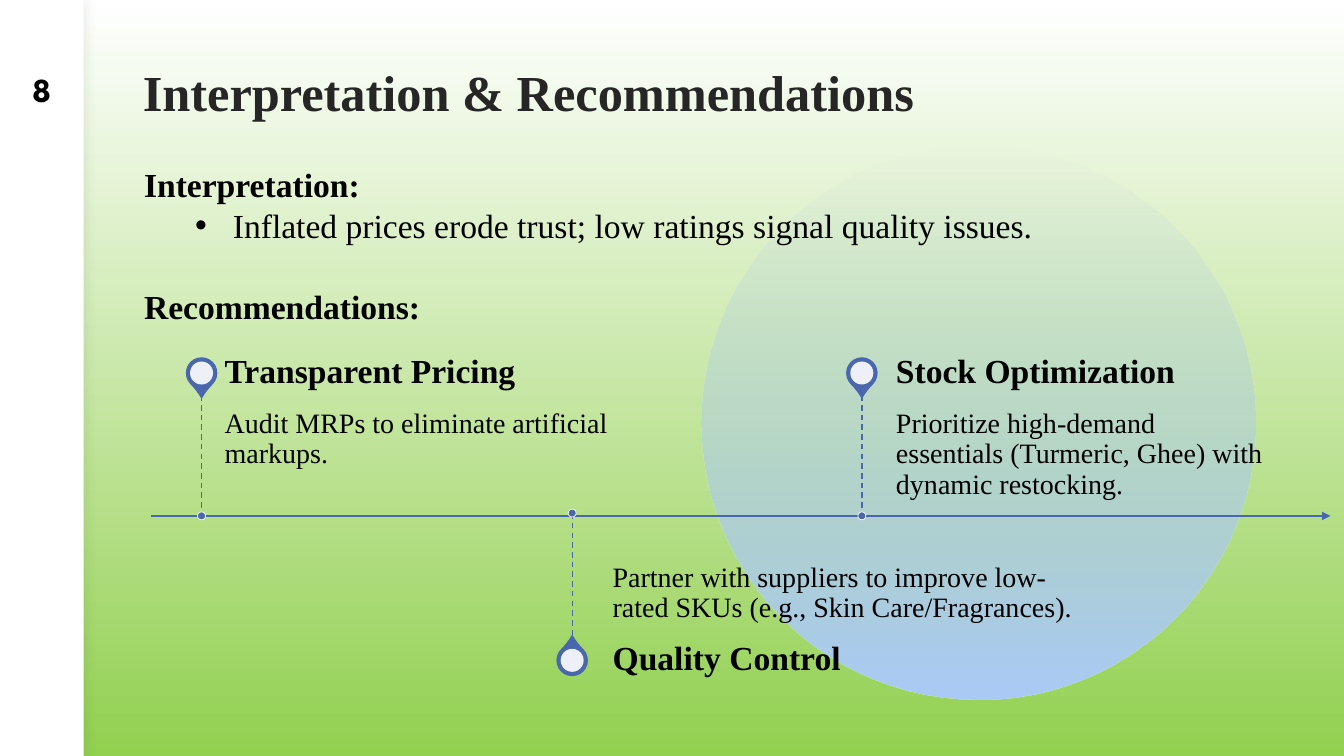
import lxml.etree
import pptx
import pptx.dml.color
import pptx.enum.dml
import pptx.enum.shapes
import pptx.enum.text
import pptx.oxml.ns
import pptx.util

Cm = pptx.util.Cm
Pt = pptx.util.Pt
SHAPE = pptx.enum.shapes.MSO_SHAPE
ANCHOR = pptx.enum.text.MSO_ANCHOR
ALIGN = pptx.enum.text.PP_ALIGN

SERIF = "Times New Roman"
BLUE = "4A66AC"
WHITE = "FFFFFF"
BLACK = "000000"
AXIS_Y = 13
PIN_SIZE = 0.76
HOLE_SIZE = 0.58
DOT_SIZE = 0.2
HEADING_HEIGHT = 1.07
DETAIL_HEIGHT = 3.07

RECOMMENDATIONS = [
    ("Transparent Pricing", "Audit MRPs to eliminate artificial markups.",
     5.08, 5.66, 12.8, True),
    ("Quality Control",
     "Partner with suppliers to improve low-rated SKUs (e.g., Skin Care/Fragrances).",
     14.42, 15.44, 12.34, False),
    ("Stock Optimization",
     "Prioritize high-demand essentials (Turmeric, Ghee) with dynamic restocking.",
     21.72, 22.58, 9.7, True),
]


def color(value):
    return pptx.dml.color.RGBColor.from_string(value)


def add_xml(parent, tag, **attributes):
    return lxml.etree.SubElement(parent, pptx.oxml.ns.qn(tag), attributes)


def set_alpha(fill_xml, percent):
    rgb = next(fill_xml.iter(pptx.oxml.ns.qn("a:srgbClr")))
    add_xml(rgb, "a:alpha", val=str(percent * 1000))


def fill_downward(fill, top, bottom):
    fill.gradient()
    fill.gradient_angle = 270
    for stop, value in zip(fill.gradient_stops, (top, bottom)):
        stop.color.rgb = color(value)


def add_solid(slide, kind, left, top, width, height, fill=WHITE, line=None, line_width=1):
    solid = slide.shapes.add_shape(kind, Cm(left), Cm(top), Cm(width), Cm(height))
    solid.shadow.inherit = False
    solid.fill.solid()
    solid.fill.fore_color.rgb = color(fill)
    if line:
        solid.line.color.rgb = color(line)
        solid.line.width = Pt(line_width)
    else:
        solid.line.fill.background()
    return solid


def add_centered(slide, kind, x, y, size, **style):
    return add_solid(slide, kind, x - size / 2, y - size / 2, size, size, **style)


def add_line(slide, start, end, width):
    line = slide.shapes.add_connector(
        pptx.enum.shapes.MSO_CONNECTOR.STRAIGHT, *(Cm(v) for v in (*start, *end)))
    line.line.color.rgb = color(BLUE)
    line.line.width = Pt(width)
    add_xml(line._element.spPr, "a:effectLst")
    return line


def format_runs(paragraph, size, bold, font=SERIF, fill=BLACK):
    for run in paragraph.runs:
        run.font.name = font
        run.font.size = Pt(size)
        run.font.bold = bold
        run.font.color.rgb = color(fill)


def add_text(slide, text, box, size, bold=False, font=SERIF, fill=BLACK,
             anchor=ANCHOR.TOP, align=ALIGN.LEFT, spacing=None,
             insets=(0.25, 0.13, 0.25, 0.13)):
    frame = slide.shapes.add_textbox(*(Cm(v) for v in box)).text_frame
    frame.word_wrap = True
    frame.vertical_anchor = anchor
    (frame.margin_left, frame.margin_top,
     frame.margin_right, frame.margin_bottom) = (Cm(v) for v in insets)
    frame.text = text
    for paragraph in frame.paragraphs:
        paragraph.alignment = align
        paragraph.line_spacing = spacing
        format_runs(paragraph, size, bold, font, fill)
    return frame


def add_backdrop(slide):
    fill_downward(slide.background.fill, WHITE, "92D050")
    circle = add_solid(slide, SHAPE.OVAL, 17.68, 3.66, 13.97, 13.97)
    fill_downward(circle.fill, "B4CCE7", "ACCBF9")
    set_alpha(circle._element.spPr, 0)
    sidebar = add_solid(slide, SHAPE.RECTANGLE, 0, 0, 2.11, 19.05)
    effects = sidebar._element.spPr.find(pptx.oxml.ns.qn("a:effectLst"))
    shadow = add_xml(effects, "a:outerShdw", blurRad=str(Pt(10)), dist="0", dir="0")
    add_xml(shadow, "a:srgbClr", val=BLACK)
    set_alpha(shadow, 10)


def add_axis(slide):
    axis = add_line(slide, (3.81, AXIS_Y), (33.53, AXIS_Y), 1.5)
    add_xml(axis.line._get_or_add_ln(), "a:tailEnd", type="triangle")


def add_recommendation(slide, heading, detail, pin_x, text_x, width, above):
    if above:
        pin_y, stem_top, stem_bottom, dot_y = 9.4, 9.96, AXIS_Y, AXIS_Y
        heading_y, detail_y = 8.86, 9.96
        anchor, insets = ANCHOR.TOP, (0, 0.36, 0.36, 0.53)
    else:
        pin_y, stem_top, stem_bottom, dot_y = 16.64, 12.93, 16, 12.93
        heading_y, detail_y = 16.08, AXIS_Y
        anchor, insets = ANCHOR.BOTTOM, (0, 0.53, 0, 0.36)

    pin = add_centered(slide, SHAPE.TEAR, pin_x, pin_y, PIN_SIZE, fill=BLUE, line=BLUE)
    pin.adjustments[0] = 1.15
    pin.rotation = 135 if above else 315
    hole = add_centered(slide, SHAPE.OVAL, pin_x, pin_y, HOLE_SIZE)
    set_alpha(hole._element.spPr, 90)
    add_text(slide, detail, (text_x, detail_y, width, DETAIL_HEIGHT), 20,
             anchor=anchor, spacing=0.9, insets=insets)
    add_text(slide, heading, (text_x, heading_y, width, HEADING_HEIGHT), 24, bold=True,
             anchor=ANCHOR.MIDDLE, spacing=0.9, insets=(0, 0, 0.43, 0))
    stem = add_line(slide, (pin_x, stem_top), (pin_x, stem_bottom), 1)
    stem.line.dash_style = pptx.enum.dml.MSO_LINE.DASH
    add_centered(slide, SHAPE.OVAL, pin_x, dot_y, DOT_SIZE,
                 fill=BLUE, line=WHITE, line_width=0.5)


def add_interpretation(slide):
    frame = add_text(
        slide,
        "Interpretation:\n"
        "Inflated prices erode trust; low ratings signal quality issues.\n"
        "Recommendations:",
        (3.38, 4.01, 27.31, 4.37), 24, bold=True)
    frame.auto_size = pptx.enum.text.MSO_AUTO_SIZE.SHAPE_TO_FIT_TEXT
    finding, recommendations = frame.paragraphs[1:]
    finding.level = 1
    format_runs(finding, 24, False)
    properties = finding._p.get_or_add_pPr()
    properties.set("marL", str(Cm(2.24)))
    properties.set("indent", str(Cm(-0.95)))
    add_xml(properties, "a:buFont", typeface="Arial")
    add_xml(properties, "a:buChar", char="•")
    recommendations.space_before = Pt(29)


def main():
    deck = pptx.Presentation()
    deck.slide_width = Cm(33.87)
    deck.slide_height = Cm(19.05)
    slide = deck.slides.add_slide(deck.slide_layouts[6])
    add_backdrop(slide)
    add_text(slide, "Interpretation & Recommendations", (3.35, 1.7, 22.68, 1.57), 36,
             bold=True, fill="262626", spacing=0.8)
    add_text(slide, "8", (0, 1.7, 2.11, 1.07), 24, bold=True, font="League Spartan",
             anchor=ANCHOR.MIDDLE, align=ALIGN.CENTER)
    add_axis(slide)
    for recommendation in RECOMMENDATIONS:
        add_recommendation(slide, *recommendation)
    add_interpretation(slide)
    deck.save("out.pptx")


if __name__ == "__main__":
    main()
